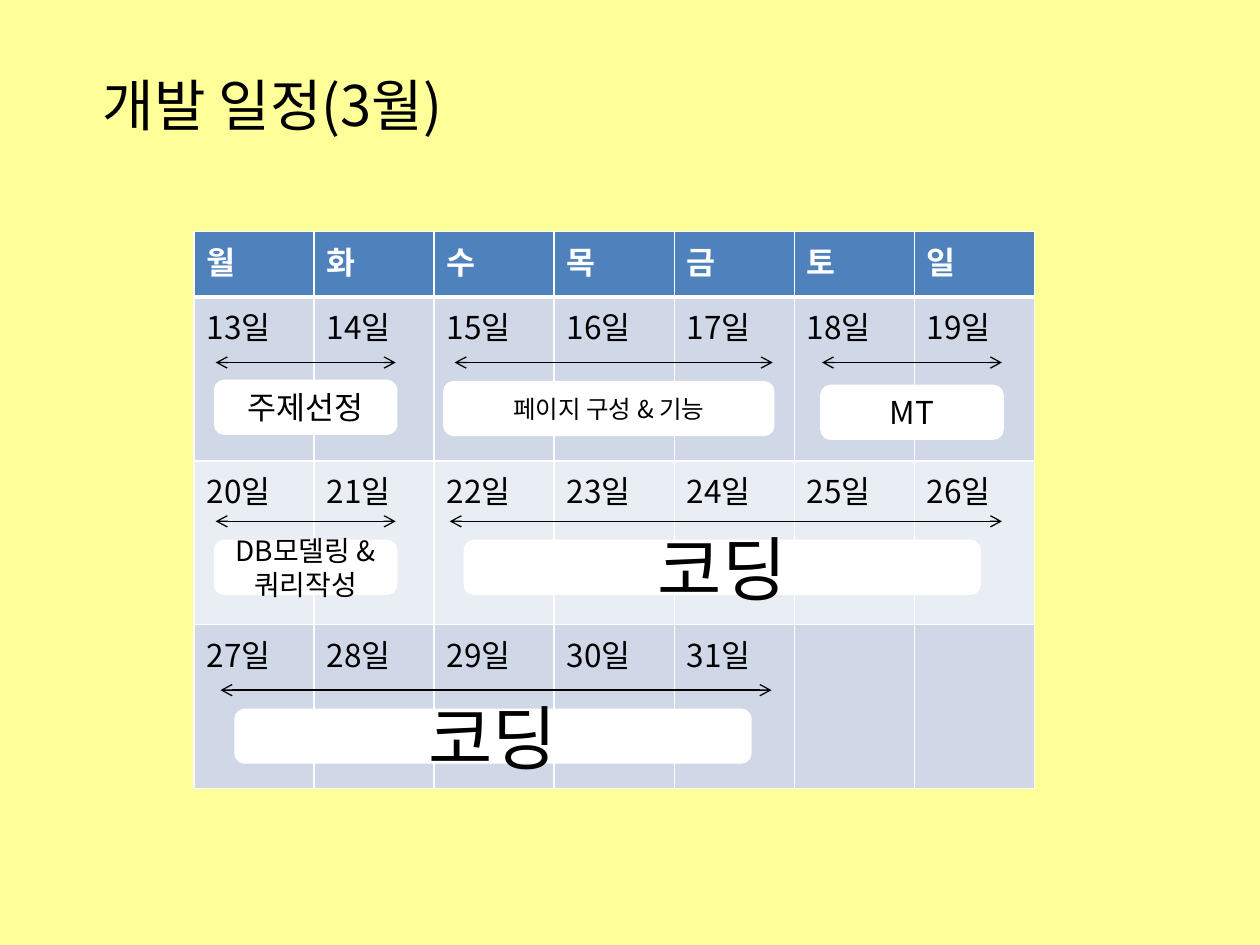
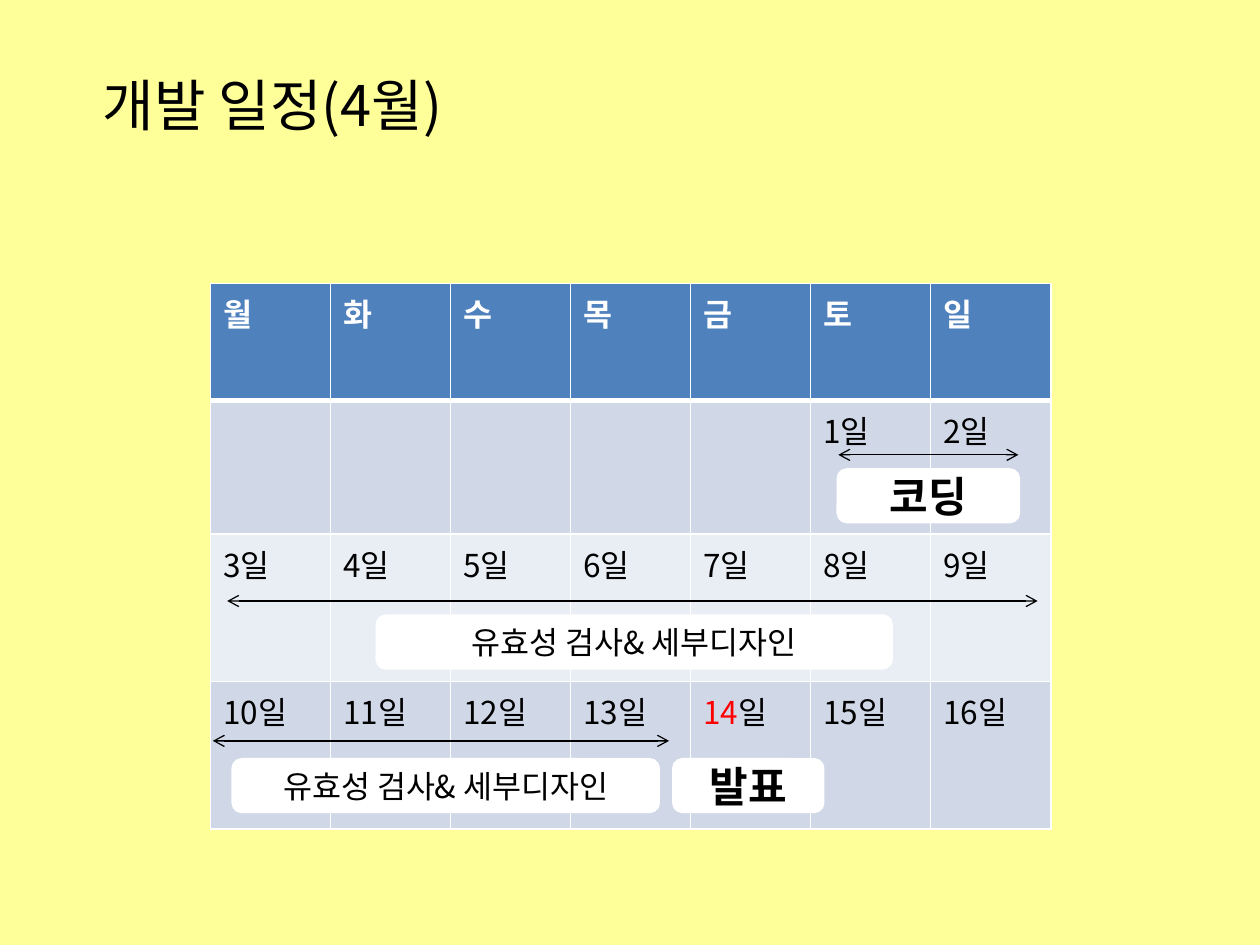
"""Build the two-month development schedule as calendar slides."""
from lxml import etree
from pptx import Presentation
from pptx import util as u
from pptx.dml.color import RGBColor
from pptx.enum import shapes, text
from pptx.oxml.ns import qn

FONT = "Noto Sans CJK KR"
WHITE, BLACK, RED = "FFFFFF", "000000", "FF0000"
PAPER, HEADER, BANDS = "FFFF99", "4F81BD", ("D0D8E8", "E9EDF4")
WEEKDAYS = "월화수목금토일"
COLUMN = u.Inches(6.67 / 7)


def rgb(value):
    """Turn a hex string into a colour."""
    return RGBColor.from_string(value)


def write(paragraph, words, size, ink=BLACK, bold=False):
    """Add a formatted run to a paragraph."""
    run = paragraph.add_run()
    run.text = words
    for key, value in {"name": FONT, "size": u.Pt(size), "bold": bold}.items():
        setattr(run.font, key, value)
    run.font.color.rgb = rgb(ink)
    etree.SubElement(run.font._element, qn("a:ea"), typeface=FONT)


# Arrows and tasks: week, first and last column (or column and span), inches below the week's top.
months = [
    {
        "title": "개발 일정(3월)",
        "left": 0.154, "top": 0.245, "rows": (0.52, 1.3, 1.3, 1.3),
        "first_column": 0, "dates": range(13, 32), "red_date": None,
        "arrows": [
            (1, 0.18, 1.68, 0.52), (1, 2.17, 4.82, 0.52), (1, 5.23, 6.73, 0.52),
            (2, 0.18, 1.68, 0.48), (2, 2.13, 6.73, 0.48),
            (3, 0.22, 4.81, 0.52),
        ],
        "tasks": [
            ("주제선정", 1, 0.18, 1.5, 0.67, 18, False),
            ("페이지 구성 & 기능", 1, 2.09, 2.73, 0.68, 14, False),
            ("MT", 1, 5.23, 1.5, 0.71, 18, False),
            ("DB모델링 & 쿼리작성", 2, 0.18, 1.5, 0.64, 16, False),
            ("코딩", 2, 2.26, 4.28, 0.64, 40, False),
            ("코딩", 3, 0.35, 4.28, 0.68, 40, False),
        ],
    },
    {
        "title": "개발 일정(4월)",
        "left": 0.167, "top": 0.3, "rows": (0.93, 1.06, 1.17, 1.17),
        "first_column": 5, "dates": range(1, 17), "red_date": 14,
        "arrows": [(1, 5.23, 6.73, 0.43), (2, 0.14, 6.89, 0.53), (3, 0.02, 3.82, 0.47)],
        "tasks": [
            ("코딩", 1, 5.23, 1.5, 0.55, 24, True),
            ("유효성 검사& 세부디자인", 2, 1.39, 4.28, 0.65, 18, False),
            ("발표", 3, 3.86, 1.24, 0.62, 24, True),
            ("유효성 검사& 세부디자인", 3, 0.19, 3.54, 0.62, 18, False),
        ],
    },
]

deck = Presentation()
deck.slide_width, deck.slide_height = u.Inches(10), u.Inches(7.5)
backdrop = deck.slide_master.background.fill
backdrop.solid()
backdrop.fore_color.rgb = rgb(PAPER)

for month in months:
    slide = deck.slides.add_slide(deck.slide_layouts[5])
    heading = slide.shapes.title
    place = {"left": 0.51, "top": 0.51, "width": 3.31, "height": 0.64}
    for side, inches in place.items():
        setattr(heading, side, u.Inches(inches))
    heading.text_frame.word_wrap = False
    heading.text_frame.auto_size = text.MSO_AUTO_SIZE.NONE
    heading.text_frame.paragraphs[0].alignment = text.PP_ALIGN.CENTER
    write(heading.text_frame.paragraphs[0], month["title"], 32)

    left = int(deck.slide_width * month["left"])
    top = int(deck.slide_height * month["top"])
    heights = [u.Inches(height) for height in month["rows"]]
    week_tops = [top + sum(heights[:week]) for week in range(len(heights))]
    calendar = slide.shapes.add_table(
        len(heights), len(WEEKDAYS), left, top, COLUMN * 7, sum(heights)
    ).table
    for column in calendar.columns:
        column.width = COLUMN

    for week, height in enumerate(heights):
        calendar.rows[week].height = height
        for day in range(len(WEEKDAYS)):
            cell = calendar.cell(week, day)
            borders = {"lnL": 1, "lnR": 1, "lnT": 3 if week == 1 else 1, "lnB": 3 if week == 0 else 1}
            for edge, points in borders.items():
                border = etree.SubElement(
                    cell._tc.get_or_add_tcPr(), qn(f"a:{edge}"), w=str(u.Pt(points))
                )
                paint = etree.SubElement(border, qn("a:solidFill"))
                etree.SubElement(paint, qn("a:srgbClr"), val=WHITE)
            cell.fill.solid()
            cell.fill.fore_color.rgb = rgb(BANDS[(week - 1) % 2] if week else HEADER)

            label = cell.text_frame.paragraphs[0]
            position = (week - 1) * 7 + day - month["first_column"]
            if week == 0:
                write(label, WEEKDAYS[day], 18, WHITE, True)
            elif 0 <= position < len(month["dates"]):
                date = month["dates"][position]
                if date == month["red_date"]:
                    write(label, str(date), 18, RED)
                    write(label, "일", 18)
                else:
                    write(label, f"{date}일", 18)

    for week, start, end, drop in month["arrows"]:
        y = week_tops[week] + u.Inches(drop)
        period = slide.shapes.add_connector(
            shapes.MSO_CONNECTOR.STRAIGHT,
            left + int(start * COLUMN), y, left + int(end * COLUMN), y,
        )
        period.line.width = u.Pt(0.75)
        period.line.color.rgb = rgb(BLACK)
        properties = period._element.spPr
        for tip in ("headEnd", "tailEnd"):
            etree.SubElement(properties.find(qn("a:ln")), qn(f"a:{tip}"), type="arrow")
        etree.SubElement(properties, qn("a:effectLst"))

    for words, week, start, span, drop, size, bold in month["tasks"]:
        task = slide.shapes.add_shape(
            shapes.MSO_SHAPE.ROUNDED_RECTANGLE,
            left + int(start * COLUMN), week_tops[week] + u.Inches(drop),
            int(span * COLUMN), u.Inches(0.41),
        )
        task.shadow.inherit = False
        task.fill.solid()
        task.fill.fore_color.rgb = rgb(WHITE)
        task.line.color.rgb = rgb(WHITE)
        task.line.width = u.Pt(2)
        task.text_frame.word_wrap = True
        task.text_frame.vertical_anchor = text.MSO_ANCHOR.MIDDLE
        task.text_frame.paragraphs[0].alignment = text.PP_ALIGN.CENTER
        write(task.text_frame.paragraphs[0], words, size, bold=bold)

deck.save("out.pptx")
